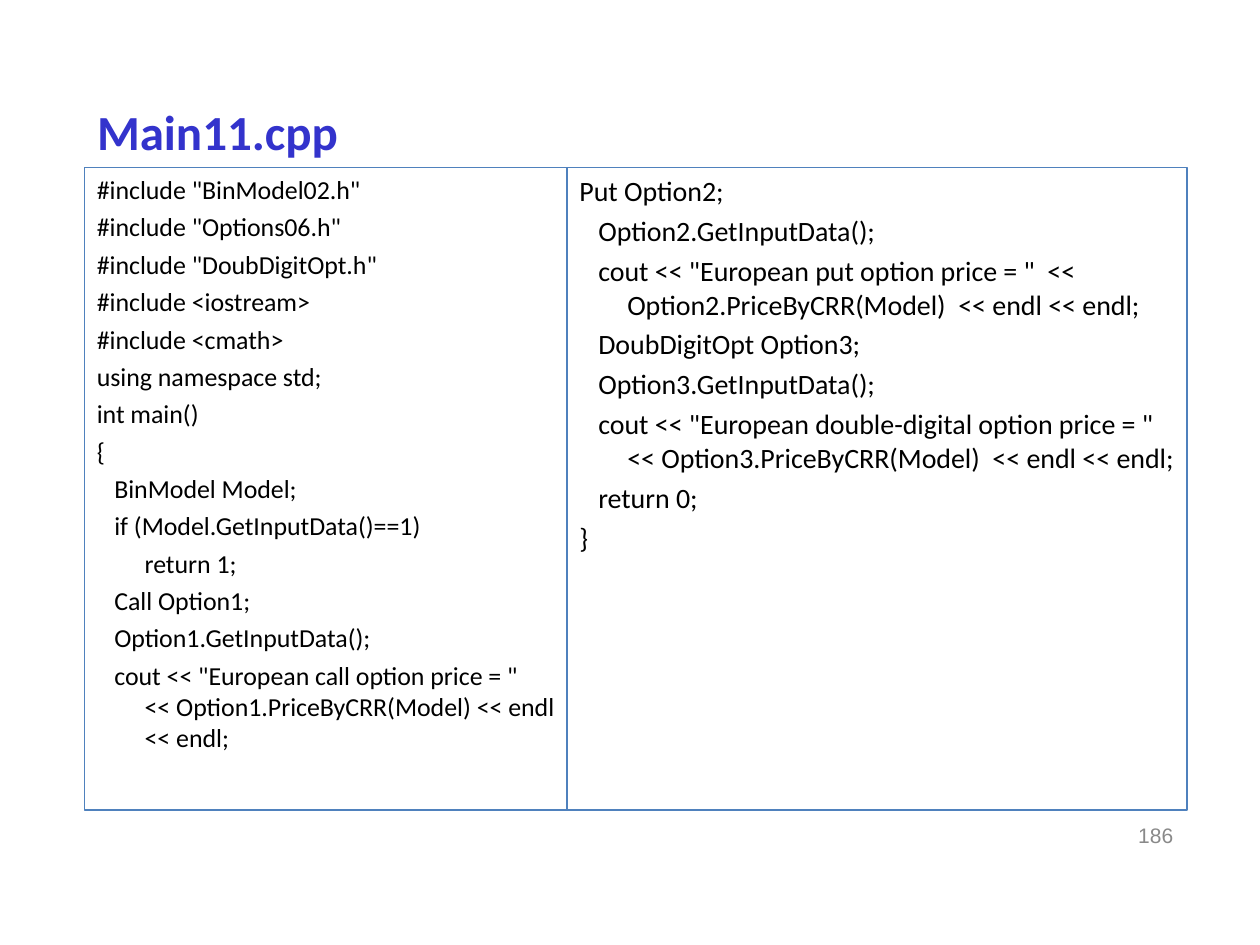
from pptx import Presentation
from pptx.dml.color import RGBColor
from pptx.enum.shapes import MSO_SHAPE
from pptx.enum.text import MSO_ANCHOR, PP_ALIGN
from pptx.util import Inches, Pt

TITLE_BLUE = RGBColor(0x33, 0x33, 0xCC)
BORDER_BLUE = RGBColor(0x4F, 0x81, 0xBD)
CODE_BLACK = RGBColor(0, 0, 0)
NUMBER_GRAY = RGBColor(0x89, 0x89, 0x89)

PANEL_TOP, PANEL_HEIGHT = 1.33, 5.1
HANGING = Inches(0.38)

OPENING_CODE = [
    '#include "BinModel02.h"',
    '#include "Options06.h"',
    '#include "DoubDigitOpt.h"',
    "#include <iostream>",
    "#include <cmath>",
    "using namespace std;",
    "int main()",
    "{",
    "   BinModel Model;",
    "   if (Model.GetInputData()==1)",
    "\treturn 1;",
    "   Call Option1;",
    "   Option1.GetInputData();",
    '   cout << "European call option price = "  << Option1.PriceByCRR(Model) << endl << endl;',
]
CLOSING_CODE = [
    "Put Option2;",
    "   Option2.GetInputData();",
    '   cout << "European put option price = "  << Option2.PriceByCRR(Model)  << endl << endl;',
    "   DoubDigitOpt Option3;",
    "   Option3.GetInputData();",
    '   cout << "European double-digital option price = "  << Option3.PriceByCRR(Model)  << endl << endl;',
    "   return 0;",
    "}",
]


def add_span(para, text, font_name, size, color, bold=False):
    span = para.add_run()
    span.text = text
    span.font.name = font_name
    span.font.size = Pt(size)
    span.font.bold = bold
    span.font.color.rgb = color


def place_title(page, left, top, width, height):
    title = page.shapes.title
    title.left, title.top = Inches(left), Inches(top)
    title.width, title.height = Inches(width), Inches(height)
    title.text_frame.vertical_anchor = MSO_ANCHOR.MIDDLE
    para = title.text_frame.paragraphs[0]
    para.alignment = PP_ALIGN.LEFT
    add_span(para, "Main11.cpp", "Calibri", 28, TITLE_BLUE, bold=True)


def add_code_panel(page, left, top, width, height, lines, size):
    panel = page.shapes.add_shape(
        MSO_SHAPE.RECTANGLE, Inches(left), Inches(top), Inches(width), Inches(height)
    )
    panel.shadow.inherit = False
    panel.fill.background()
    panel.line.color.rgb = BORDER_BLUE
    panel.line.width = Pt(0.75)
    frame = panel.text_frame
    frame.word_wrap = True
    frame.vertical_anchor = MSO_ANCHOR.TOP
    for index, line in enumerate(lines):
        para = frame.add_paragraph() if index else frame.paragraphs[0]
        para.alignment = PP_ALIGN.LEFT
        para.space_before = Pt(3.6 if index else 0)
        properties = para._p.get_or_add_pPr()
        properties.set("marL", str(HANGING))
        properties.set("indent", str(-HANGING))
        add_span(para, line, "Calibri", size, CODE_BLACK)


def add_page_number(page, left, top, width, height):
    box = page.shapes.add_textbox(Inches(left), Inches(top), Inches(width), Inches(height))
    frame = box.text_frame
    frame.word_wrap = True
    frame.vertical_anchor = MSO_ANCHOR.MIDDLE
    para = frame.paragraphs[0]
    para.alignment = PP_ALIGN.RIGHT
    add_span(para, "186", "Arial", 12, NUMBER_GRAY)


def main():
    deck = Presentation()
    deck.slide_width, deck.slide_height = Inches(10), Inches(7.5)
    page = deck.slides.add_slide(deck.slide_layouts[5])
    place_title(page, 0.67, 0.75, 8.67, 0.58)
    add_code_panel(page, 0.67, PANEL_TOP, 3.83, PANEL_HEIGHT, OPENING_CODE, 14.8)
    add_page_number(page, 7.08, PANEL_TOP + PANEL_HEIGHT, 2.33, 0.4)
    add_code_panel(page, 4.5, PANEL_TOP, 4.92, PANEL_HEIGHT, CLOSING_CODE, 16)
    deck.save("out.pptx")


if __name__ == "__main__":
    main()
